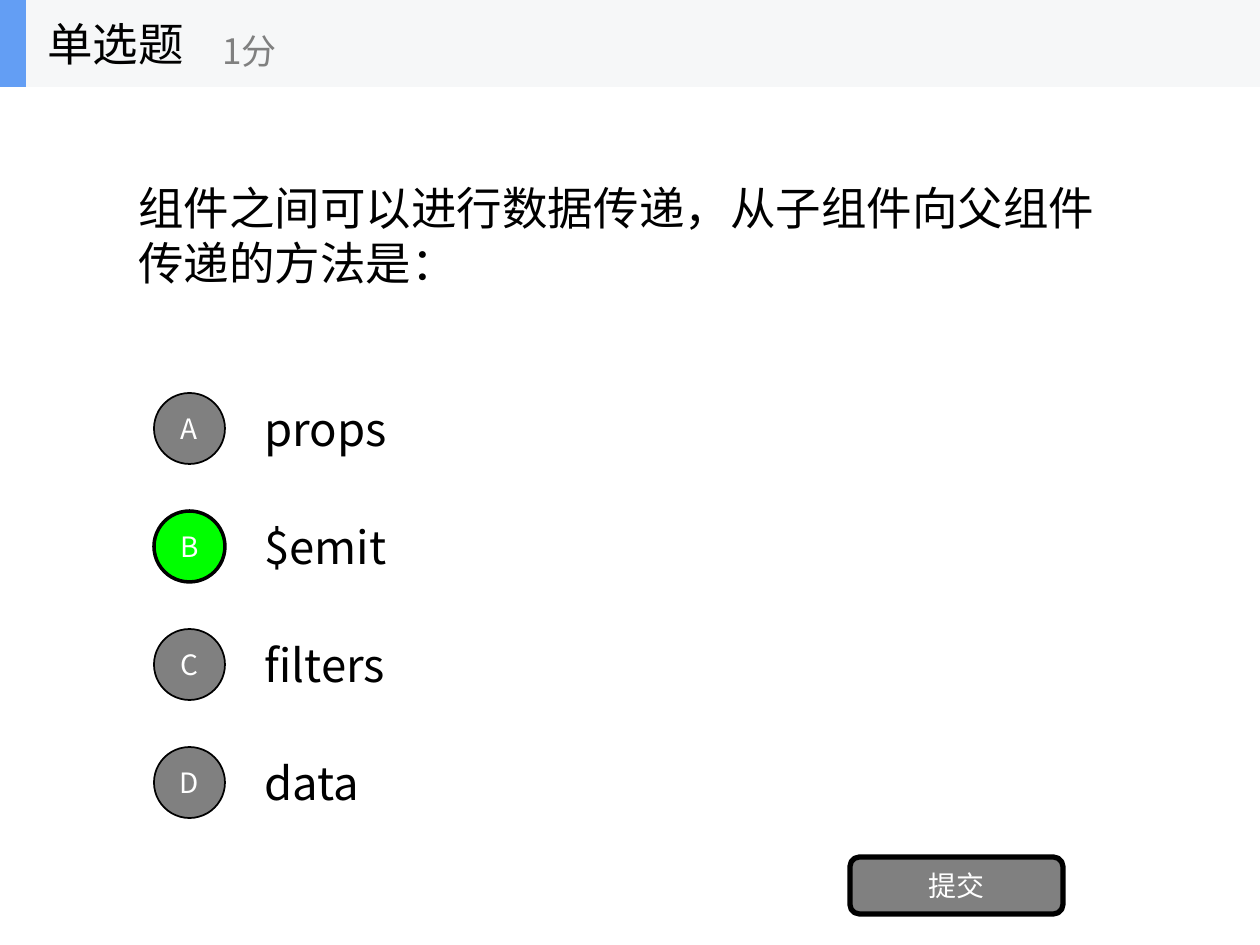
"""Build a single-choice quiz slide with a header, a question, four options and a submit button."""
from dataclasses import dataclass

from lxml import etree
from pptx import Presentation
from pptx.dml.color import RGBColor
from pptx.enum.shapes import MSO_SHAPE
from pptx.enum.text import MSO_ANCHOR, PP_ALIGN
from pptx.oxml.ns import qn
from pptx.util import Emu, Pt

RECT = MSO_SHAPE.RECTANGLE
ROUND_RECT = MSO_SHAPE.ROUNDED_RECTANGLE
OVAL = MSO_SHAPE.OVAL
MIDDLE = MSO_ANCHOR.MIDDLE
LEFT, CENTER = PP_ALIGN.LEFT, PP_ALIGN.CENTER

FONT = "Noto Sans CJK SC"
EMU_PER_PX = 914400 / 126
BLACK, WHITE, GRAY, GREEN = "000000", "FFFFFF", "808080", "00FF00"
HEADER_FILL, ACCENT = "F6F7F8", "639EF4"

SLIDE_W, SLIDE_H = 1260, 945
HEADER_H = 87
OPTION_TOP, OPTION_PITCH, OPTION_H = 384, 118, 88
BADGE_LEFT, BADGE_SIZE = 154, 71


@dataclass(frozen=True)
class Box:
    left: int
    top: int
    width: int
    height: int

    def emu(self) -> tuple[Emu, ...]:
        return tuple(px(n) for n in (self.left, self.top, self.width, self.height))


@dataclass(frozen=True)
class Option:
    letter: str
    text: str
    correct: bool = False


OPTIONS = [
    Option("A", "props"),
    Option("B", "$emit", correct=True),
    Option("C", "filters"),
    Option("D", "data"),
]


def px(n: int) -> Emu:
    return Emu(round(n * EMU_PER_PX))


def rgb(color: str) -> RGBColor:
    return RGBColor.from_string(color)


def write(s, text: str, size: int, color: str, align) -> None:
    tf = s.text_frame
    tf.word_wrap = True
    tf.vertical_anchor = MIDDLE
    tf.text = text
    p = tf.paragraphs[0]
    p.alignment = align
    r = p.runs[0]
    r.font.size = Pt(size)
    r.font.name = FONT
    r.font.color.rgb = rgb(color)
    etree.SubElement(r.font._element, qn("a:ea"), typeface=FONT)


def add_text(shapes, box: Box, text: str, size: int = 26, color: str = BLACK) -> None:
    write(shapes.add_textbox(*box.emu()), text, size, color, LEFT)


def add_block(shapes, kind, box: Box, fill: str, line_pt: int = 0, label: str = "") -> None:
    s = shapes.add_shape(kind, *box.emu())
    s.shadow.inherit = False
    s.fill.solid()
    s.fill.fore_color.rgb = rgb(fill)
    if line_pt:
        s.line.color.rgb = rgb(BLACK)
        s.line.width = Pt(line_pt)
    else:
        s.line.fill.background()
    if label:
        s.text_frame.margin_left = s.text_frame.margin_right = 0
        write(s, label, 16, WHITE, CENTER)


def add_header(shapes) -> None:
    add_block(shapes, RECT, Box(0, 0, SLIDE_W, HEADER_H), HEADER_FILL)
    add_block(shapes, RECT, Box(0, 0, 26, HEADER_H), ACCENT)
    add_text(shapes, Box(35, 0, 262, HEADER_H), "单选题")
    add_text(shapes, Box(210, 15, 315, 71), "1分", 20, GRAY)


def add_option(shapes, option: Option, row: int) -> None:
    top = OPTION_TOP + row * OPTION_PITCH
    badge_top = top + (OPTION_H - BADGE_SIZE + 1) // 2
    fill, line_pt = (GREEN, 2) if option.correct else (GRAY, 1)
    add_text(shapes, Box(252, top, 882, OPTION_H), option.text)
    badge = Box(BADGE_LEFT, badge_top, BADGE_SIZE, BADGE_SIZE)
    add_block(shapes, OVAL, badge, fill, line_pt, option.letter)


def main() -> None:
    prs = Presentation()
    prs.slide_width, prs.slide_height = px(SLIDE_W), px(SLIDE_H)
    shapes = prs.slides.add_slide(prs.slide_layouts[6]).shapes
    question = "组件之间可以进行数据传递，从子组件向父组件传递的方法是："
    add_text(shapes, Box(126, HEADER_H, 1008, 295), question)
    for row, option in enumerate(OPTIONS):
        add_option(shapes, option, row)
    add_block(shapes, ROUND_RECT, Box(850, 857, 213, 57), GRAY, 3, "提交")
    add_header(shapes.add_group_shape().shapes)
    prs.save("out.pptx")


if __name__ == "__main__":
    main()
